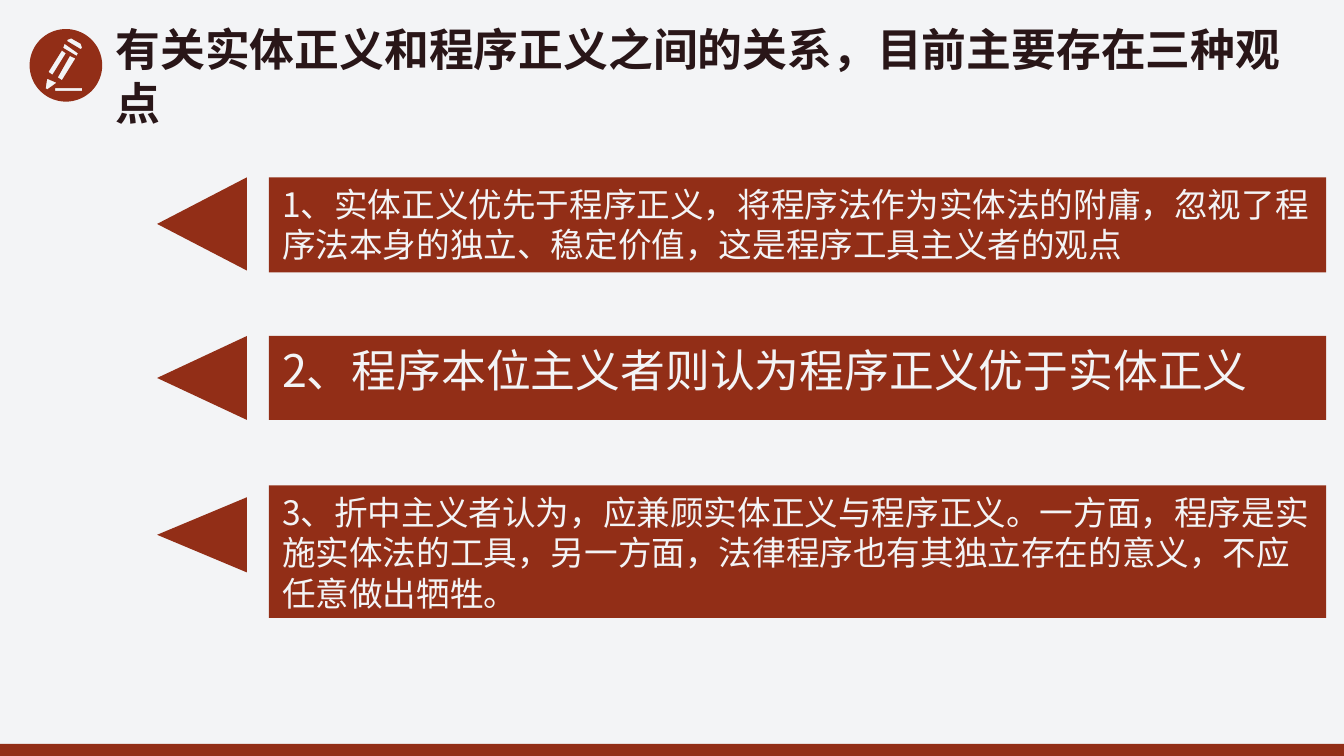
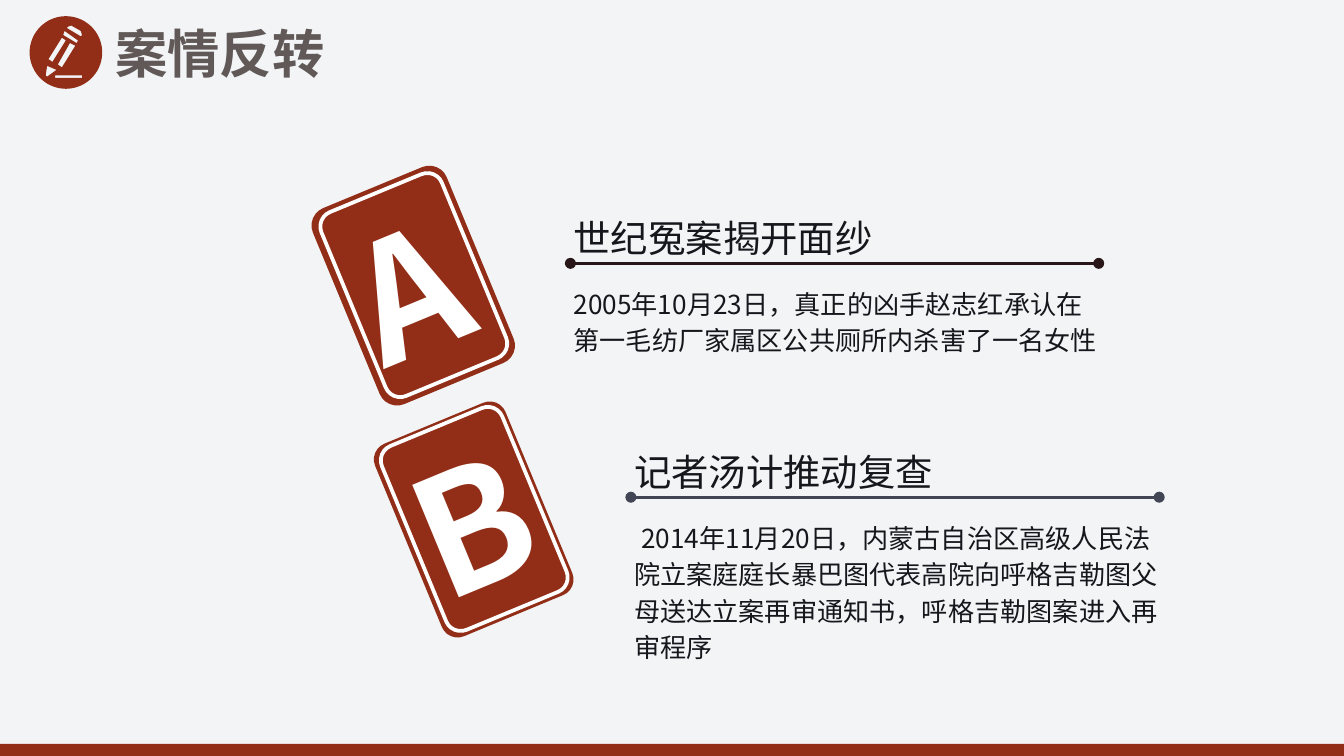
from math import cos, pi, sin

from lxml.etree import SubElement
from pptx import Presentation
from pptx.dml.color import RGBColor
from pptx.enum.shapes import MSO_CONNECTOR, MSO_SHAPE
from pptx.enum.text import MSO_ANCHOR, MSO_AUTO_SIZE, PP_ALIGN
from pptx.oxml.ns import qn
from pptx.util import Pt

RUST = RGBColor(0x92, 0x2E, 0x17)
PAPER = RGBColor(0xF3, 0xF4, 0xF6)
WHITE = RGBColor(0xFF, 0xFF, 0xFF)
INK = RGBColor(0x15, 0x17, 0x1C)
MAROON = RGBColor(0x29, 0x16, 0x18)
GREY = RGBColor(0x60, 0x59, 0x58)
SLATE = RGBColor(0x42, 0x45, 0x54)

FONT = "Noto Sans CJK SC"
LETTER_FONT = "Noto Sans CJK KR"
WIDTH, HEIGHT = 720, 405
TILT = 337.5
ICON_SIZE = 38.9

# Cut-outs of the pencil icon, relative to the icon's box
PENCIL = [
    [(13.7, 31.7), (28.1, 31.7), (28.1, 33.1), (13.7, 33.1)],
    [(15.1, 25.9), (21.6, 14.4), (24.5, 15.8), (17.3, 27.4)],
    [(10.1, 23), (17.3, 11.5), (19.4, 13), (12.2, 24.5)],
    [(8.6, 31.7), (9.4, 26.6), (14.4, 28.8), (9.4, 32.4)],
    [(18.7, 7.9), (18, 10.1), (25.2, 14.4), (25.9, 13)],
    [(20.2, 5.8), (22.3, 5), (27.4, 7.9), (28.1, 10.1), (27.4, 10.8), (20.2, 6.5)],
]

# Text, size, bar top and height, arrow top and height
VIEWS = [
    ("1、实体正义优先于程序正义，将程序法作为实体法的附庸，忽视了程序法本身的独立、稳定价值，这是程序工具主义者的观点",
     18, 95, 51, 95, 50),
    ("2、程序本位主义者则认为程序正义优于实体正义", 24, 180, 45, 180, 45),
    ("3、折中主义者认为，应兼顾实体正义与程序正义。一方面，程序是实施实体法的工具，另一方面，法律程序也有其独立存在的意义，不应任意做出牺牲。",
     18, 260, 71, 266.4, 40.3),
]


def box(left, top, width, height):
    return Pt(left), Pt(top), Pt(width), Pt(height)


def write(tf, text, size=18, color=INK, font=FONT, bold=False,
          align=PP_ALIGN.LEFT, spacing=None, indent=0):
    tf.word_wrap = True
    tf.auto_size = MSO_AUTO_SIZE.NONE
    tf.vertical_anchor = MSO_ANCHOR.TOP
    p = tf.paragraphs[0]
    p.alignment = align
    if spacing:
        p.line_spacing = spacing
    if indent:
        p._p.get_or_add_pPr().set("indent", str(Pt(indent)))
    r = p.add_run()
    r.text = text
    r.font.size, r.font.bold, r.font.name = Pt(size), bold, font
    r.font.color.rgb = color
    SubElement(r._r.get_or_add_rPr(), qn("a:ea"), typeface=font)


def paint(sp, line=None):
    """Fill a shape in rust, with a 2 pt outline if a line colour is given."""
    sp.shadow.inherit = False
    sp.fill.solid()
    sp.fill.fore_color.rgb = RUST
    if line is None:
        sp.line.fill.background()
    else:
        sp.line.color.rgb = line
        sp.line.width = Pt(2)
    return sp


def add_text(shapes, left, top, width, height, text, rotation=0, **fmt):
    sp = shapes.add_textbox(*box(left, top, width, height))
    sp.rotation = rotation
    write(sp.text_frame, text, **fmt)


def add_outline(shapes, left, top, contours):
    """Draw closed contours as one shape; inner contours become holes."""
    contours = [[(Pt(left + x), Pt(top + y)) for x, y in c] for c in contours]
    builder = shapes.build_freeform(*contours[0][0])
    for i, points in enumerate(contours):
        if i:
            builder.move_to(*points[0])
        builder.add_line_segments(points[1:], close=True)
    return paint(builder.convert_to_shape())


def add_icon(shapes, left, top):
    radius = ICON_SIZE / 2
    angles = [2 * pi * i / 72 for i in range(72)]
    disc = [(radius * (1 + cos(a)), radius * (1 + sin(a))) for a in angles]
    add_outline(shapes, left, top, [disc] + PENCIL)


def add_slide(prs, title, size, color, width, height, icon_top):
    """Add a slide with the bottom band, title and pencil icon."""
    s = prs.slides.add_slide(prs.slide_layouts[5])
    paint(s.shapes.add_shape(MSO_SHAPE.RECTANGLE, *box(0, HEIGHT - 6.5, WIDTH, 6.5)))
    sp = s.shapes.title
    sp.left, sp.top, sp.width, sp.height = box(54.7, 7.9, width, height)
    write(sp.text_frame, title, size=size, color=color, bold=True)
    add_icon(s.shapes, 15.9, icon_top)
    return s


def add_view(shapes, text, size, top, height, arrow_top, arrow_height):
    bar = paint(shapes.add_shape(MSO_SHAPE.RECTANGLE, *box(144, top, 566.5, height)))
    write(bar.text_frame, text, size=size, color=PAPER)
    triangle = [(0, arrow_height / 2), (48.2, 0), (48.2, arrow_height)]
    add_outline(shapes, 84.2, arrow_top, [triangle])


def add_rule(shapes, left, top, width, color):
    """Draw a horizontal line with a dot at each end."""
    line = shapes.add_connector(MSO_CONNECTOR.STRAIGHT, Pt(left), Pt(top),
                                Pt(left + width), Pt(top))
    line.line.color.rgb = color
    line.line.width = Pt(1.5)
    ln = line.line._get_or_add_ln()
    for end in ("a:headEnd", "a:tailEnd"):
        SubElement(ln, qn(end), type="oval")
    SubElement(line._element.spPr, qn("a:effectLst"))


def add_card(shapes, left, top, letter, edge):
    """Draw a tilted playing card with a white inner frame."""
    for inset_x, inset_y, width, height, line in (
            (0, 0, 75.6, 111.6, edge), (3.2, 2.2, 69.8, 106.6, WHITE)):
        sp = shapes.add_shape(MSO_SHAPE.ROUNDED_RECTANGLE,
                              *box(left + inset_x, top + inset_y, width, height))
        sp.adjustments[0] = 0.12
        sp.rotation = TILT
        paint(sp, line)
    add_text(shapes, left - 6.8, top - 28, 65.5, 141.1, letter, rotation=TILT,
             size=88, color=WHITE, font=LETTER_FONT, bold=True,
             align=PP_ALIGN.JUSTIFY, spacing=1.3)


def add_event(s, left, top, letter, heading, body, body_height,
              rule_color, edge=None, indent=0):
    shapes = s.shapes.add_group_shape().shapes
    add_card(shapes, left, top, letter, edge)
    text_left = left + 116.6
    add_text(shapes, text_left, top + 51.1, 299.5, body_height, body,
             size=14, spacing=1.16, indent=indent)
    add_text(shapes, text_left, top + 19, 180.7, 26.6, heading, size=20, spacing=0.8)
    add_rule(shapes, left + 122, top + 43.9, 283, rule_color)


def views_slide(prs):
    s = add_slide(prs, "有关实体正义和程序正义之间的关系，目前主要存在三种观点",
                  24, MAROON, 655.2, 65.5, 15.6)
    for view in VIEWS:
        add_view(s.shapes, *view)


def reversal_slide(prs):
    s = add_slide(prs, "案情反转", 28, GREY, 410.4, 41, 8.7)
    add_event(s, 183.6, 97.2, "A", "世纪冤案揭开面纱",
              "2005年10月23日，真正的凶手赵志红承认在第一毛纺厂家属区公共厕所内杀害了一名女性",
              46.8, MAROON, edge=RUST)
    add_event(s, 216, 222.5, "B", "记者汤计推动复查",
              "2014年11月20日，内蒙古自治区高级人民法院立案庭庭长暴巴图代表高院向呼格吉勒图父母送达立案再审通知书，呼格吉勒图案进入再审程序",
              85.7, SLATE, indent=3.9)


def main():
    prs = Presentation()
    prs.slide_width, prs.slide_height = Pt(WIDTH), Pt(HEIGHT)
    fill = prs.slide_master.background.fill
    fill.solid()
    fill.fore_color.rgb = PAPER
    views_slide(prs)
    reversal_slide(prs)
    prs.save("out.pptx")


if __name__ == "__main__":
    main()
